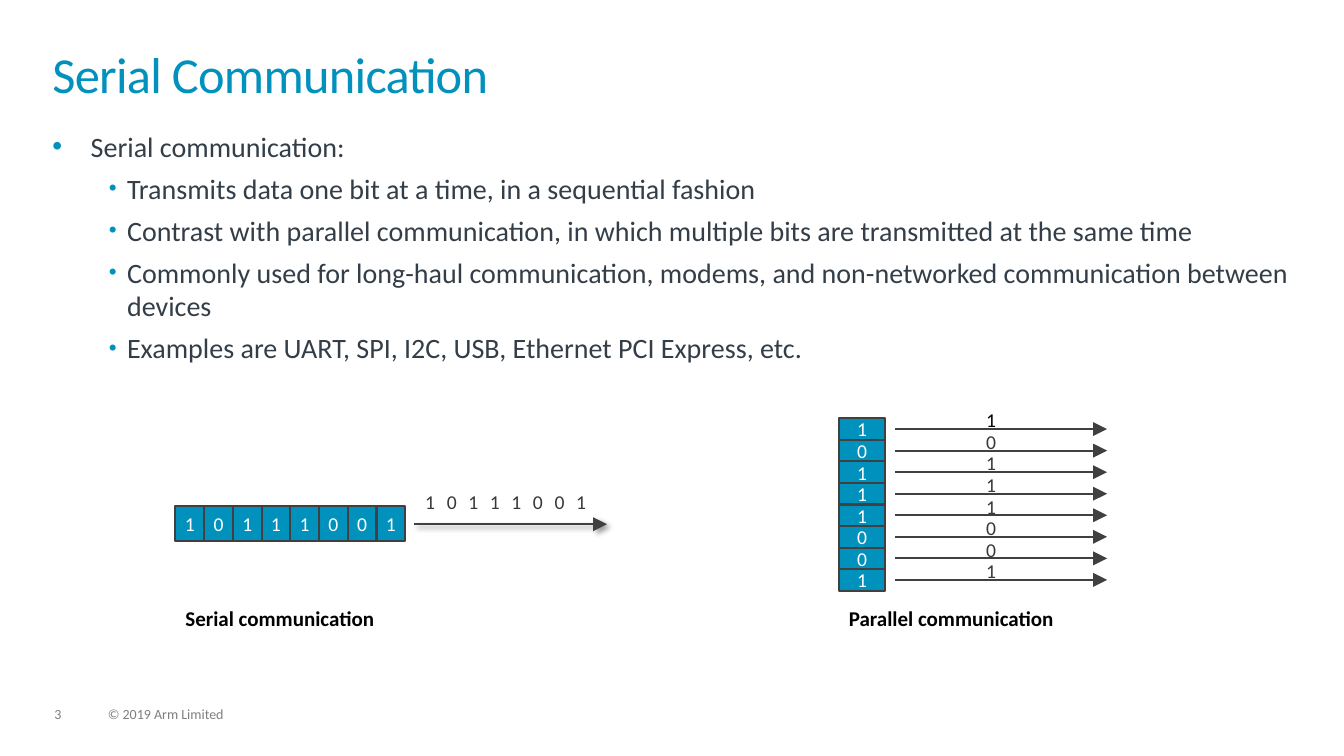
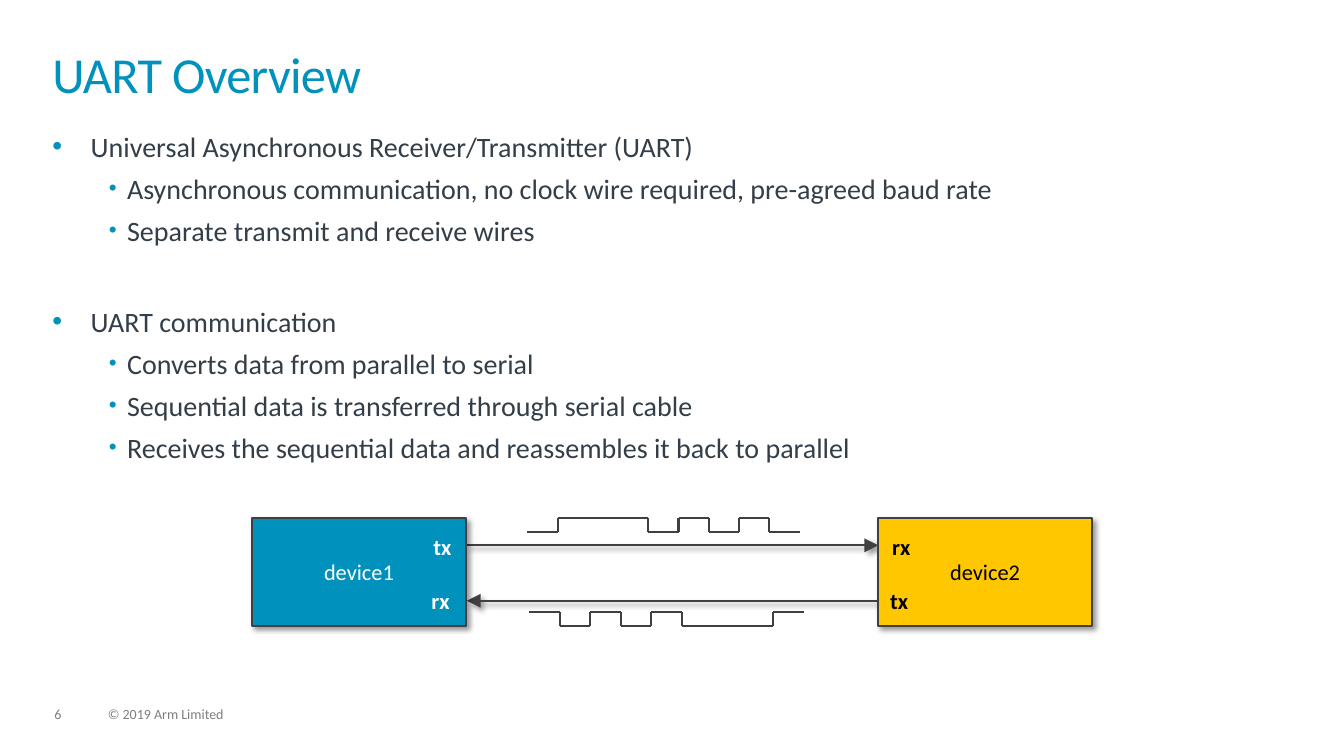
from itertools import groupby

from pptx import Presentation
from pptx.dml.color import RGBColor
from pptx.enum.shapes import MSO_CONNECTOR, MSO_SHAPE
from pptx.enum.text import MSO_ANCHOR, MSO_AUTO_SIZE, PP_ALIGN
from pptx.oxml import parse_xml
from pptx.oxml.ns import nsdecls
from pptx.util import Inches, Pt

LEFT, CENTER = PP_ALIGN.LEFT, PP_ALIGN.CENTER
TOP, MIDDLE = MSO_ANCHOR.TOP, MSO_ANCHOR.MIDDLE
RECTANGLE, STRAIGHT = MSO_SHAPE.RECTANGLE, MSO_CONNECTOR.STRAIGHT
NO_AUTOFIT = MSO_AUTO_SIZE.NONE
color = RGBColor.from_string

FONT = "Calibri"
BLUE, YELLOW, WHITE, BLACK = "0091BD", "FFC700", "FFFFFF", "000000"
BODY_TEXT, BIT_TEXT, FOOTER_TEXT, LINE = "333E48", "383838", "7F7F7F", "404040"
LINE_WIDTH = Pt(1.5)
NO_EFFECT = f"<a:effectLst {nsdecls('a')}/>"
SHADOW = (
    f'<a:effectLst {nsdecls("a")}><a:outerShdw blurRad="50800" dist="38100" '
    'dir="2700000" algn="tl" rotWithShape="0"><a:srgbClr val="000000">'
    '<a:alpha val="40000"/></a:srgbClr></a:outerShdw></a:effectLst>'
)
ARROWHEAD = f'<a:tailEnd {nsdecls("a")} type="triangle" w="lg" len="lg"/>'
BITS = "10111001"


def add_box(slide, text, left, top, width, height, size, text_color, fill=None,
            shadow=False, bold=False, align=LEFT, anchor=TOP, inset=True):
    """Add a text box, or an outlined rectangle when a fill is given."""
    area = Inches(left), Inches(top), Inches(width), Inches(height)
    if fill:
        shape = slide.shapes.add_shape(RECTANGLE, *area)
        shape.fill.solid()
        shape.fill.fore_color.rgb = color(fill)
        shape.line.color.rgb = color(LINE)
        shape.line.width = LINE_WIDTH
        if shadow:
            shape._element.spPr.append(parse_xml(SHADOW))
        else:
            shape.shadow.inherit = False
    else:
        shape = slide.shapes.add_textbox(*area)
    frame = shape.text_frame
    frame.word_wrap = align == LEFT
    frame.vertical_anchor = anchor
    if not inset:
        frame.margin_left = frame.margin_right = 0
        frame.margin_top = frame.margin_bottom = 0
    paragraph = frame.paragraphs[0]
    paragraph.alignment = align
    run = paragraph.add_run()
    run.text = text
    run.font.name = FONT
    run.font.size = Pt(size)
    run.font.bold = bold
    run.font.color.rgb = color(text_color)


def add_line(slide, start_x, start_y, end_x, end_y, arrow=False, shadow=False):
    """Add a straight line, with an arrowhead at its end if wanted."""
    connector = slide.shapes.add_connector(
        STRAIGHT, Inches(start_x), Inches(start_y), Inches(end_x), Inches(end_y))
    connector.line.color.rgb = color(LINE)
    connector.line.width = LINE_WIDTH
    if arrow:
        connector.line._get_or_add_ln().append(parse_xml(ARROWHEAD))
    connector._element.spPr.append(parse_xml(SHADOW if shadow else NO_EFFECT))


presentation = Presentation()
presentation.slide_width = Inches(13.33)
presentation.slide_height = Inches(7.5)

# Title, slide number and body paragraphs as (level, space before, text)
contents = [
    ("Serial Communication", "3", [
        (0, 0, "Serial communication:"),
        (1, 6, "Transmits data one bit at a time, in a sequential fashion"),
        (1, 6, "Contrast with parallel communication, in which multiple bits "
               "are transmitted at the same time"),
        (1, 6, "Commonly used for long-haul communication, modems, and "
               "non-networked communication between devices"),
        (1, 6, "Examples are UART, SPI, I2C, USB, Ethernet PCI Express, etc."),
    ]),
    ("UART Overview", "6", [
        (0, 0, "Universal Asynchronous Receiver/Transmitter (UART)"),
        (1, 6, "Asynchronous communication, no clock wire required, "
               "pre-agreed baud rate"),
        (1, 6, "Separate transmit and receive wires"),
        (0, 41, "UART communication"),
        (1, 6, "Converts data from parallel to serial"),
        (1, 6, "Sequential data is transferred through serial cable"),
        (1, 6, "Receives the sequential data and reassembles it back to parallel"),
    ]),
]
# Left margin, first-line indent and bullet size for each level
bullet_levels = [(0.38, -0.38, 100), (0.74, -0.18, 80)]

for title_text, number, body in contents:
    slide = presentation.slides.add_slide(presentation.slide_layouts[5])

    # Footer
    for text, left, width in ((number, 0.54, 0.34),
                              ("© 2019 Arm Limited", 1.07, 5.07)):
        add_box(slide, text, left, 7, width, 0.15, 10, FOOTER_TEXT, inset=False)

    # Title
    title = slide.shapes.title
    title.left, title.top = Inches(0.52), Inches(0.52)
    title.width, title.height = Inches(12.28), Inches(0.72)
    frame = title.text_frame
    frame.auto_size = NO_AUTOFIT
    frame.vertical_anchor = TOP
    frame.margin_left = frame.margin_right = 0
    frame.margin_top = frame.margin_bottom = 0
    paragraph = frame.paragraphs[0]
    paragraph.alignment = LEFT
    paragraph.line_spacing = 0.85
    run = paragraph.add_run()
    run.text = title_text
    run.font.name = FONT
    run.font.size = Pt(36)
    run.font.color.rgb = color(BLUE)
    run.font._element.set("spc", "-50")

    # Bulleted body
    body_box = slide.shapes.add_textbox(
        Inches(0.52), Inches(1.28), Inches(12.28), Inches(5.41))
    frame = body_box.text_frame
    frame.word_wrap = True
    frame.margin_left = frame.margin_right = 0
    frame.margin_top = frame.margin_bottom = 0
    for index, (level, space_before, text) in enumerate(body):
        paragraph = frame.add_paragraph() if index else frame.paragraphs[0]
        paragraph.level = level
        paragraph.space_before = Pt(space_before)
        margin, indent, bullet_size = bullet_levels[level]
        properties = paragraph._element.get_or_add_pPr()
        properties.set("marL", str(Inches(margin)))
        properties.set("indent", str(Inches(indent)))
        for tag in (f'buClr {nsdecls("a")}><a:srgbClr val="{BLUE}"/></a:buClr',
                    f'buSzPct {nsdecls("a")} val="{bullet_size * 1000}"/',
                    f'buFont {nsdecls("a")} typeface="Arial"/',
                    f'buChar {nsdecls("a")} char="•"/'):
            properties.append(parse_xml(f"<a:{tag}>"))
        run = paragraph.add_run()
        run.text = text
        run.font.name = FONT
        run.font.size = Pt(20)
        run.font.color.rgb = color(BODY_TEXT)

serial_slide, uart_slide = presentation.slides

# Serial and parallel transmission of the same byte
bit_style = {"align": CENTER, "anchor": MIDDLE, "inset": False}
cell_width = 2.28 / len(BITS)
row_height = 1.71 / len(BITS)
add_line(serial_slide, 4.11, 5.2, 6.02, 5.2, arrow=True, shadow=True)
for index, bit in enumerate(BITS):
    add_box(serial_slide, bit, 1.74 + index * cell_width, 5.02, cell_width, 0.35,
            14, WHITE, fill=BLUE, **bit_style)
    add_box(serial_slide, bit, 4.16 + index * row_height, 4.8, row_height, 0.35,
            14, BIT_TEXT, **bit_style)
    row_top = 4.15 + index * row_height
    row_middle = row_top + row_height / 2
    add_box(serial_slide, bit, 8.32, row_top, 0.46, row_height,
            14, WHITE, fill=BLUE, **bit_style)
    add_line(serial_slide, 8.88, row_middle, 10.98, row_middle, arrow=True)
    add_box(serial_slide, bit, 9.6, row_top - 0.09, 0.46, row_height,
            14, BIT_TEXT if index else BLACK, **bit_style)
for caption, left in (("Serial communication", 1.74),
                      ("Parallel communication", 8.32)):
    add_box(serial_slide, caption, left, 5.96, 3.52, 0.35, 15, BLACK, bold=True)

# Wires between the two devices
add_line(uart_slide, 4.63, 5.41, 8.71, 5.41, arrow=True, shadow=True)
add_line(uart_slide, 8.71, 5.96, 4.63, 5.96, arrow=True, shadow=True)

# Signal waveforms: a level line for each run of equal bits, joined by edges
wave_height = 0.14
for levels, left, top, width in (("011101010", 5.23, 5.14, 2.7),
                                 ("101010001", 5.25, 6.07, 2.72)):
    bit_width = width / len(levels)
    x = left
    for level, repeats in groupby(levels):
        y = top if level == "1" else top + wave_height
        if x > left:
            add_line(uart_slide, x, top + wave_height, x, top)
        next_x = x + bit_width * len(list(repeats))
        add_line(uart_slide, x, y, next_x, y)
        x = next_x

# Devices with their pins
for name, left, fill, text_color, pins in (
        ("device1", 2.5, BLUE, WHITE, (("tx", 4.2, 5.24), ("rx", 4.18, 5.78))),
        ("device2", 8.71, YELLOW, BLACK, (("rx", 8.75, 5.24), ("tx", 8.73, 5.78)))):
    add_box(uart_slide, name, left, 5.14, 2.12, 1.07, 16, text_color, fill=fill,
            shadow=True, align=CENTER, anchor=MIDDLE)
    for pin, pin_left, pin_top in pins:
        add_box(uart_slide, pin, pin_left, pin_top, 0.75, 0.37, 16, text_color,
                bold=True)

presentation.save("out.pptx")
